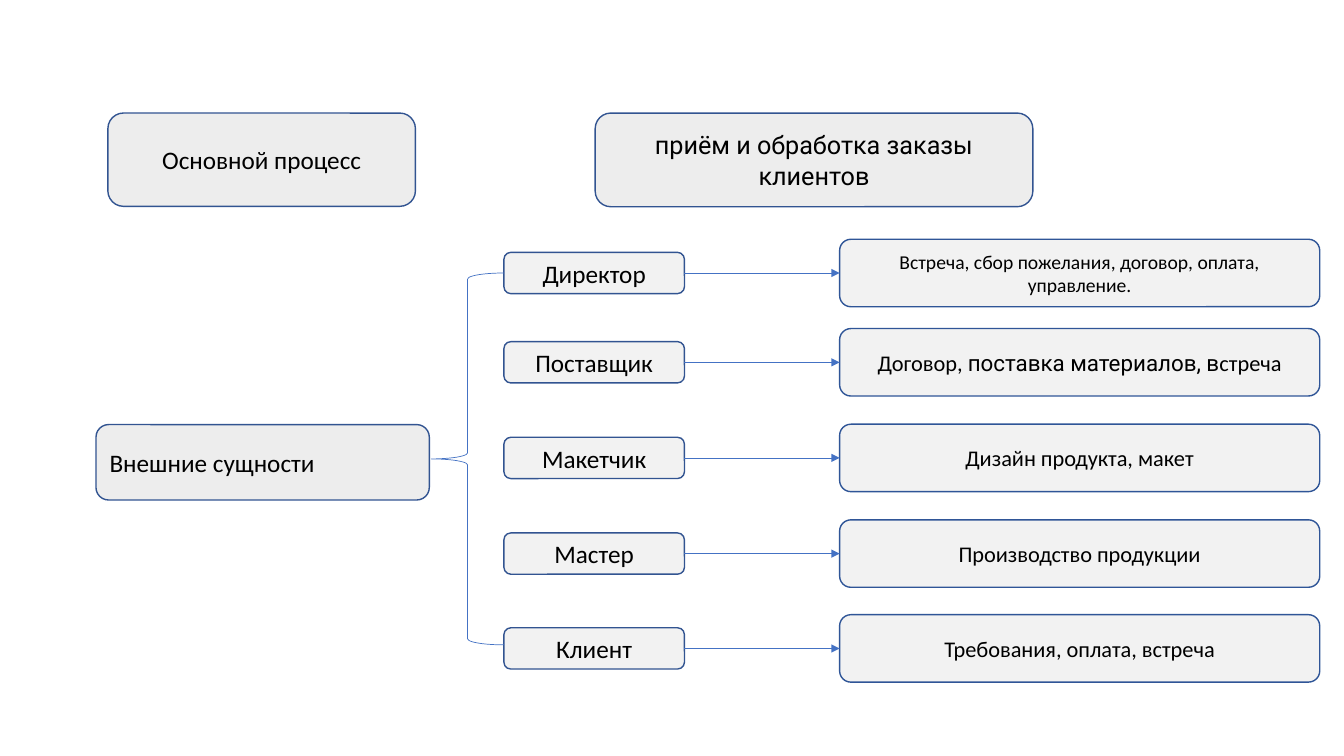
from lxml.etree import SubElement
from pptx import Presentation
from pptx.dml.color import RGBColor
from pptx.enum.shapes import MSO_CONNECTOR, MSO_SHAPE
from pptx.enum.text import MSO_ANCHOR, PP_ALIGN
from pptx.oxml.ns import qn
from pptx.util import Cm, Pt

COLORS = {
    "head": "EDEDED",
    "row": "F2F2F2",
    "border": "325491",
    "action_border": "2F5597",
    "link": "4472C4",
    "text": "000000",
}


class Diagram:
    font = "Calibri"

    def __init__(self, prs):
        self.s = prs.slides.add_slide(prs.slide_layouts[6])

    def color(self, name):
        return RGBColor.from_string(COLORS[name])

    def outline(self, line, name, width):
        line.color.rgb = self.color(name)
        line.width = Pt(width)

    def shape(self, kind, x, y, w, h, border, width):
        sp = self.s.shapes.add_shape(kind, Cm(x), Cm(y), Cm(w), Cm(h))
        sp.shadow.inherit = False
        self.outline(sp.line, border, width)
        return sp

    def box(self, x, y, w, h, runs, fill="row", border="border", size=18,
            align=PP_ALIGN.CENTER):
        sp = self.shape(MSO_SHAPE.ROUNDED_RECTANGLE, x, y, w, h, border, 1)
        sp.fill.solid()
        sp.fill.fore_color.rgb = self.color(fill)
        tf = sp.text_frame
        tf.word_wrap = True
        tf.vertical_anchor = MSO_ANCHOR.MIDDLE
        p = tf.paragraphs[0]
        p.alignment = align
        for text, font in runs:
            r = p.add_run()
            r.text = text
            r.font.name = font
            r.font.size = Pt(size)
            r.font.color.rgb = self.color("text")

    def brace(self, x, y, w, h):
        sp = self.shape(MSO_SHAPE.LEFT_BRACE, x, y, w, h, "link", 0.5)
        sp.fill.background()

    def arrow(self, x1, x2, y):
        c = self.s.shapes.add_connector(
            MSO_CONNECTOR.STRAIGHT, Cm(x1), Cm(y), Cm(x2), Cm(y))
        self.outline(c.line, "link", 0.5)
        spPr = c._element.spPr
        SubElement(spPr.find(qn("a:ln")), qn("a:tailEnd"), type="triangle")
        SubElement(spPr, qn("a:effectLst"))


def main():
    prs = Presentation()
    prs.slide_width, prs.slide_height = Cm(33.87), Cm(19.05)
    d = Diagram(prs)
    font = d.font

    role_x, role_w, role_h = 12.7, 4.55, 1.04
    action_x, action_w, action_h = 21.33 - 0.17, 12.1, 1.7
    rows = [
        (6.88, "Директор", 14,
         [("Встреча, сбор пожелания, договор, оплата, управление.", font)]),
        (9.13, "Поставщик", 16,
         [("Договор, ", font), ("поставка материалов, в", "Roboto"),
          ("стреча", font)]),
        (11.54, "Макетчик", 16, [("Дизайн продукта, макет", font)]),
        (13.95, "Мастер", 16, [("Производство продукции", font)]),
        (16.34, "Клиент", 16, [("Требования, оплата, встреча", font)]),
    ]
    for y, role, size, action in rows:
        d.box(role_x, y - role_h / 2, role_w, role_h, [(role, font)])
        d.box(action_x, y - action_h / 2, action_w, action_h, action,
              border="action_border", size=size)
        d.arrow(role_x + role_w, action_x, y)

    d.brace(10.87, 6.88, 1.83, 9.37)
    d.box(2.42, 10.7, 8.4, 1.9, [("Внешние сущности", font)],
          fill="head", align=PP_ALIGN.LEFT)
    d.box(2.72, 2.85, 7.75, 2.35, [("Основной процесс", font)], fill="head")
    d.box(15, 2.85, 11.03, 2.36,
          [("приём и обработка заказы клиентов", "Roboto")], fill="head")
    prs.save("out.pptx")


if __name__ == "__main__":
    main()
